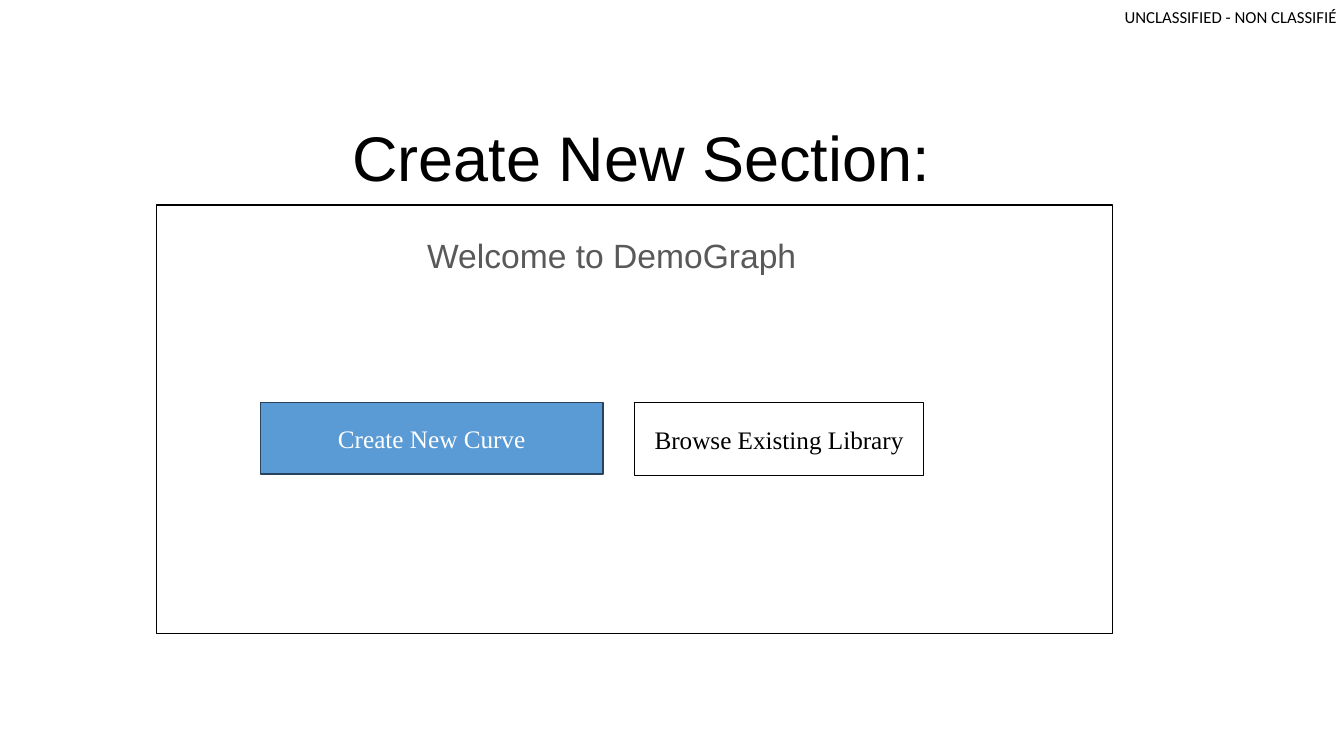
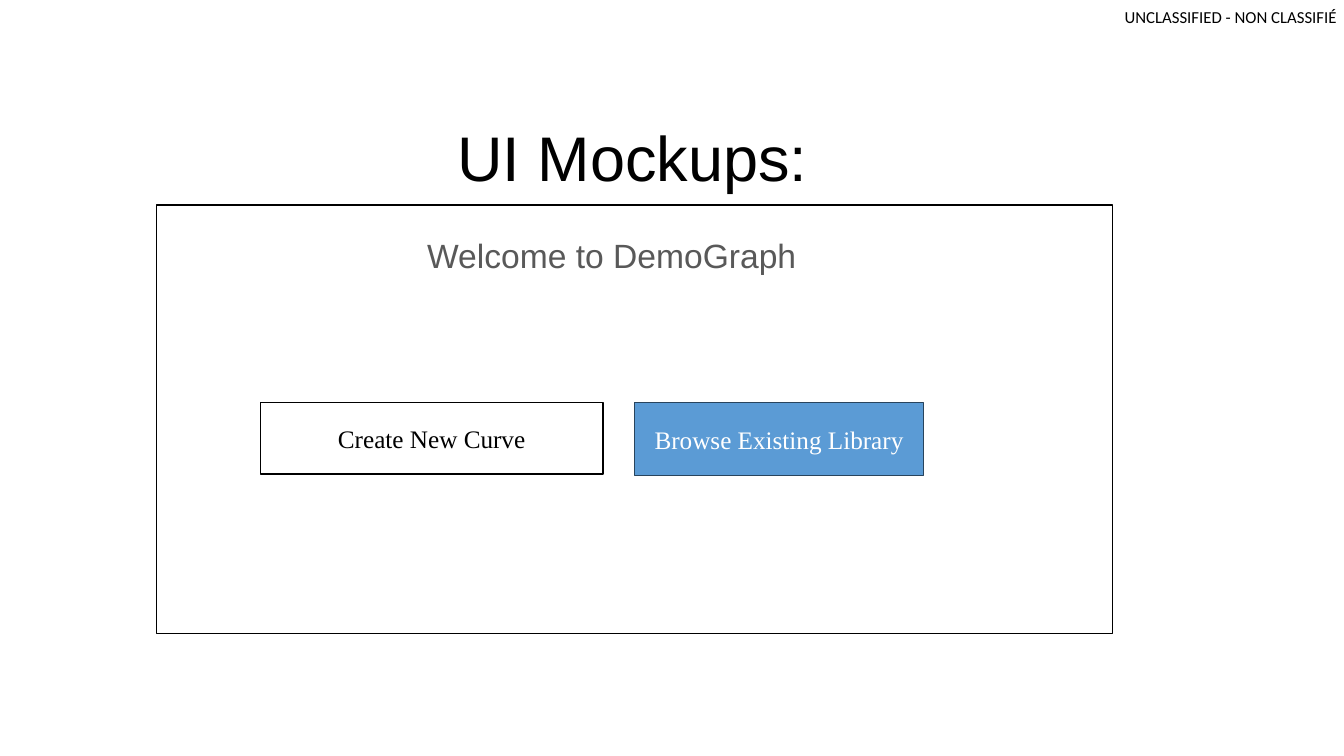
from dataclasses import dataclass

from pptx import Presentation
from pptx import util as u
from pptx.dml.color import RGBColor
from pptx.enum import shapes, text


@dataclass(frozen=True)
class Theme:
    # Colours
    black: str = "000000"
    white: str = "FFFFFF"
    grey: str = "595959"
    accent: str = "5B9BD5"
    accent_edge: str = "28445D"
    # Fonts
    heading_font: str = "Arial"
    button_font: str = "Times New Roman"
    marking_font: str = "Calibri"
    # Type sizes and line width in points
    title_size: int = 45
    welcome_size: int = 24
    button_size: int = 18
    marking_size: int = 12
    line_width: int = 1


@dataclass(frozen=True)
class Box:
    """A rectangle in centimetres."""
    left: float
    top: float
    width: float
    height: float

    def inner(self, left, top, width, height):
        return Box(self.left + left, self.top + top, width, height)

    def lengths(self):
        return [u.Cm(value) for value in (self.left, self.top, self.width, self.height)]


THEME = Theme()
PAGE = Box(0, 0, 33.87, 19.05)
TITLE = PAGE.inner(1.68, 1.04, 29.21, 4.01)
PANEL = PAGE.inner(3.94, 5.17, 24.1, 10.8)
MARKING = PAGE.inner(28.34, 0.18, 5.46, 0.51)

# Label, left offset in the panel, width, height
BUTTONS = [
    ("Browse Existing Library", 12.05, 7.29, 1.83),
    ("Create New Curve", 2.62, 8.64, 1.8),
]
BUTTON_TOP = 4.98

# Title, highlighted button
SLIDES = [
    ("Create New Section:", "Create New Curve"),
    ("UI Mockups: ", "Browse Existing Library"),
]


def write_text(shape, words, *, font, size, colour=THEME.black,
               align=text.PP_ALIGN.CENTER, anchor=text.MSO_ANCHOR.TOP,
               margins=(0.25, 0.13, 0.25, 0.13), line_spacing=1.0):
    """Fill a shape with one formatted paragraph; margins are in centimetres."""
    frame = shape.text_frame
    frame.word_wrap = True
    frame.auto_size = text.MSO_AUTO_SIZE.NONE
    frame.vertical_anchor = anchor
    (frame.margin_left, frame.margin_top,
     frame.margin_right, frame.margin_bottom) = map(u.Cm, margins)
    paragraph = frame.paragraphs[0]
    paragraph.alignment = align
    paragraph.line_spacing = line_spacing
    run = paragraph.add_run()
    run.text = words
    run.font.name = font
    run.font.size = u.Pt(size)
    run.font.color.rgb = RGBColor.from_string(colour)


def add_rectangle(slide, box, fill, line):
    shape = slide.shapes.add_shape(shapes.MSO_SHAPE.RECTANGLE, *box.lengths())
    shape.shadow.inherit = False
    shape.fill.solid()
    shape.fill.fore_color.rgb = RGBColor.from_string(fill)
    shape.line.color.rgb = RGBColor.from_string(line)
    shape.line.width = u.Pt(THEME.line_width)
    return shape


def add_marking(slide, box):
    marking = slide.shapes.add_textbox(*box.lengths())
    write_text(marking, "UNCLASSIFIED - NON CLASSIFIÉ", font=THEME.marking_font,
               size=THEME.marking_size, align=text.PP_ALIGN.LEFT, margins=(0, 0, 0, 0))


def set_title(slide, box, words):
    title = slide.shapes.title
    title.left, title.top, title.width, title.height = box.lengths()
    write_text(title, words, font=THEME.heading_font, size=THEME.title_size,
               anchor=text.MSO_ANCHOR.BOTTOM, margins=(0, 0.13, 0.25, 0.13),
               line_spacing=0.9)


def add_button(slide, box, label, highlighted):
    if highlighted:
        fill, line, colour = THEME.accent, THEME.accent_edge, THEME.white
    else:
        fill, line, colour = THEME.white, THEME.black, THEME.black
    button = add_rectangle(slide, box, fill, line)
    write_text(button, label, font=THEME.button_font, size=THEME.button_size,
               colour=colour, anchor=text.MSO_ANCHOR.MIDDLE)


def add_welcome_panel(slide, box, highlighted_label):
    add_rectangle(slide, box, THEME.white, THEME.black)
    # Greeting
    welcome = slide.shapes.add_textbox(*box.inner(1.67, 0.74, 19.61, 2.51).lengths())
    write_text(welcome, "Welcome to DemoGraph", font=THEME.heading_font,
               size=THEME.welcome_size, colour=THEME.grey, line_spacing=0.9)
    # Choices
    for label, left, width, height in BUTTONS:
        add_button(slide, box.inner(left, BUTTON_TOP, width, height),
                   label, label == highlighted_label)


def add_mockup_slide(presentation, title, highlighted_label):
    title_only = presentation.slide_layouts.get_by_name("Title Only")
    slide = presentation.slides.add_slide(title_only)
    add_marking(slide, MARKING)
    set_title(slide, TITLE, title)
    add_welcome_panel(slide, PANEL, highlighted_label)


def main():
    presentation = Presentation()
    presentation.slide_width = u.Cm(PAGE.width)
    presentation.slide_height = u.Cm(PAGE.height)
    for title, highlighted_label in SLIDES:
        add_mockup_slide(presentation, title, highlighted_label)
    presentation.save("out.pptx")


if __name__ == "__main__":
    main()
